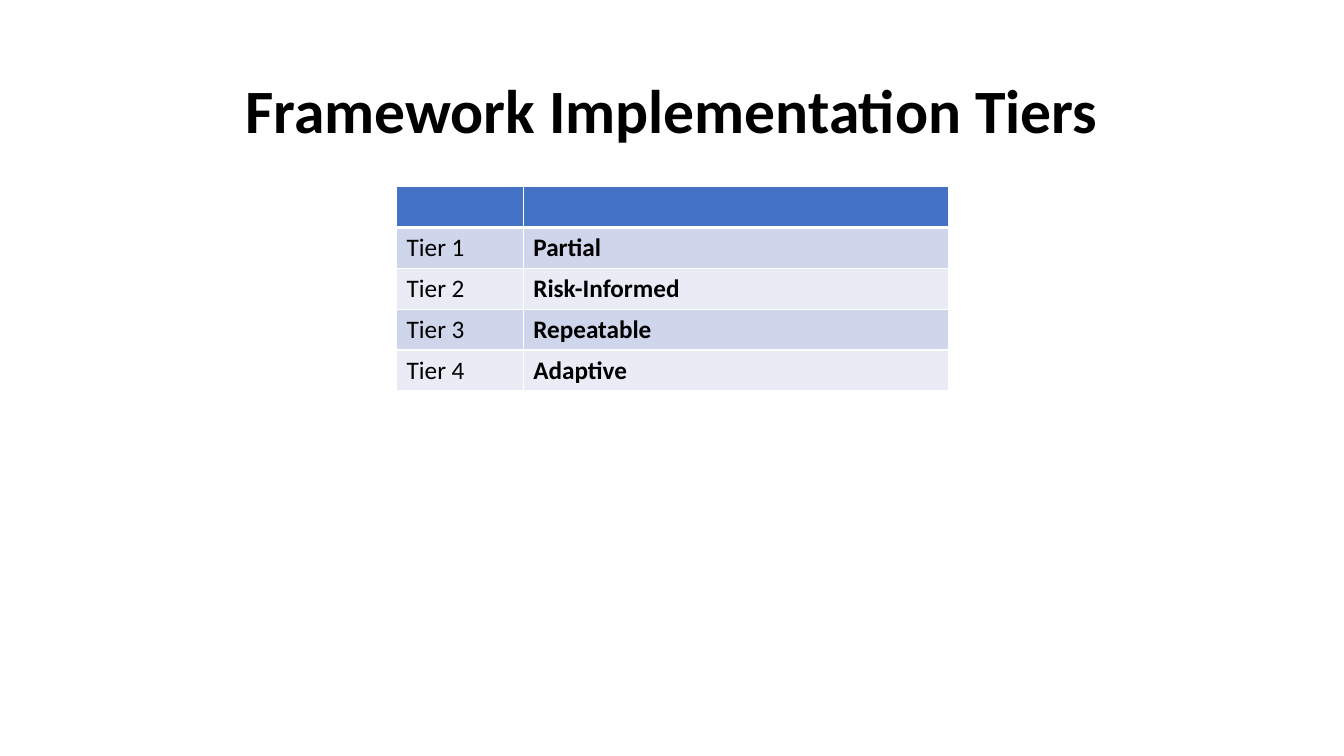
from dataclasses import dataclass

from lxml import etree
from pptx import Presentation
from pptx.dml.color import RGBColor
from pptx.enum import text
from pptx.oxml import ns
from pptx.util import Pt

FONT = "Calibri"
BLACK = RGBColor(0x00, 0x00, 0x00)
WHITE = RGBColor(0xFF, 0xFF, 0xFF)
HEADER_BLUE = RGBColor(0x44, 0x72, 0xC4)
BANDS = (RGBColor(0xCF, 0xD5, 0xEA), RGBColor(0xE9, 0xEB, 0xF5))

COLUMN_WIDTHS = (90.5, 303.5)
ROW_HEIGHT = 29.2
THIN, THICK = 1, 3


@dataclass(frozen=True)
class Tier:
    label: str
    name: str


TIERS = [
    Tier(f"Tier {number}", name)
    for number, name in enumerate(("Partial", "Risk-Informed", "Repeatable", "Adaptive"), 1)
]


def add_run(paragraph, words: str, size: float, bold: bool) -> None:
    run = paragraph.add_run()
    run.text = words
    run.font.name = FONT
    run.font.size = Pt(size)
    run.font.bold = bold
    run.font.color.rgb = BLACK


def set_borders(cell, top: float, bottom: float) -> None:
    properties = cell._tc.get_or_add_tcPr()
    edges = (("lnL", THIN), ("lnR", THIN), ("lnT", top), ("lnB", bottom))
    for edge, width in edges:
        line = etree.SubElement(properties, ns.qn(f"a:{edge}"), w=str(Pt(width)))
        fill = etree.SubElement(line, ns.qn("a:solidFill"))
        etree.SubElement(fill, ns.qn("a:srgbClr"), val=str(WHITE))


def style_cell(cell, color: RGBColor, top: float, bottom: float) -> None:
    set_borders(cell, top, bottom)
    cell.fill.solid()
    cell.fill.fore_color.rgb = color


def add_title(slide, words: str) -> None:
    title = slide.shapes.title
    title.left, title.top, title.width, title.height = Pt(66), Pt(28.75), Pt(828), Pt(104.4)
    frame = title.text_frame
    frame.word_wrap = True
    frame.vertical_anchor = text.MSO_ANCHOR.MIDDLE
    paragraph = frame.paragraphs[0]
    paragraph.alignment = text.PP_ALIGN.CENTER
    paragraph.line_spacing = 0.9
    add_run(paragraph, words, 44, True)


def add_tier_table(slide, tiers: list[Tier]) -> None:
    row_count = len(tiers) + 1
    table = slide.shapes.add_table(
        row_count, len(COLUMN_WIDTHS), Pt(283.3), Pt(133.2),
        Pt(sum(COLUMN_WIDTHS)), Pt(ROW_HEIGHT * row_count),
    ).table
    table.horz_banding = False
    for column, width in zip(table.columns, COLUMN_WIDTHS):
        column.width = Pt(width)
    for row in table.rows:
        row.height = Pt(ROW_HEIGHT)

    # Empty header row
    for cell in table.rows[0].cells:
        style_cell(cell, HEADER_BLUE, THIN, THICK)

    # One banded row per tier
    for index, tier in enumerate(tiers):
        label_cell, name_cell = table.rows[index + 1].cells
        for cell, words, bold in ((label_cell, tier.label, False), (name_cell, tier.name, True)):
            style_cell(cell, BANDS[index % 2], THIN if index else THICK, THIN)
            add_run(cell.text_frame.paragraphs[0], words, 18, bold)


def main() -> None:
    presentation = Presentation()
    presentation.slide_width, presentation.slide_height = Pt(960), Pt(540)
    slide = presentation.slides.add_slide(presentation.slide_layouts.get_by_name("Title Only"))
    add_title(slide, "Framework Implementation Tiers")
    add_tier_table(slide, TIERS)
    presentation.save("out.pptx")


if __name__ == "__main__":
    main()
